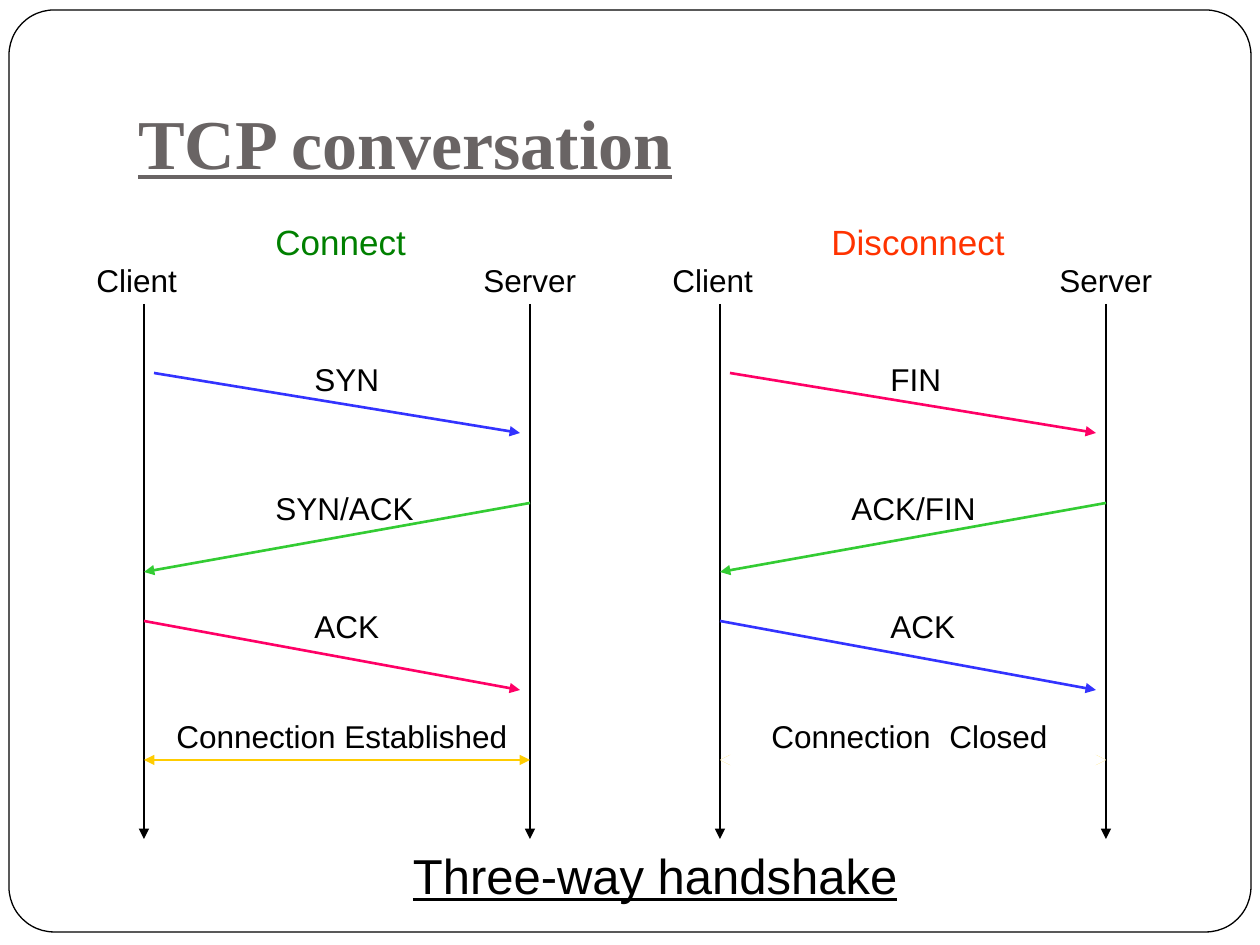
from lxml import etree
from pptx import Presentation
from pptx.dml.color import RGBColor
from pptx.enum.shapes import MSO_CONNECTOR, MSO_SHAPE
from pptx.enum.text import MSO_ANCHOR, MSO_AUTO_SIZE, PP_ALIGN
from pptx.oxml.ns import qn
from pptx.util import Pt

EMU_PER_PX = 914400 / 126


def px(length):
    return round(length * EMU_PER_PX)


def color(hex_string):
    return RGBColor.from_string(hex_string)


presentation = Presentation()
presentation.slide_width = px(1260)
presentation.slide_height = px(945)
slide = presentation.slides.add_slide(presentation.slide_layouts[6])

# Rounded frame
frame = slide.shapes.add_shape(
    MSO_SHAPE.ROUNDED_RECTANGLE, px(9), px(10), px(1242), px(922))
frame.adjustments[0] = 0.049
frame.shadow.inherit = False
frame.fill.solid()
frame.fill.fore_color.rgb = color("FFFFFF")
frame.line.color.rgb = color("000000")
frame.line.width = Pt(0.75)

# The two conversations, side by side
PANEL_STEP = 576
CLIENT, SERVER = 144, 530
BLUE, GREEN, PINK = "3333FF", "33CC33", "FF0066"
YELLOW, WHITE, BLACK = "FFCC00", "FFFFFF", "000000"
panels = [
    {"messages": ["SYN", "SYN/ACK", "ACK"], "colors": [BLUE, GREEN, PINK],
     "state_lines": [(YELLOW, 1.5)]},
    {"messages": ["FIN", "ACK/FIN", "ACK"], "colors": [PINK, GREEN, BLUE],
     "state_lines": [(YELLOW, 1.5), (WHITE, 6)]},
]
message_routes = [
    (154, 373, 520, 433),
    (SERVER, 503, CLIENT, 572),
    (CLIENT, 621, 520, 690),
]
message_boxes = [(302, 354, 118), (263, 483, 169), (302, 601, 118)]

# Text boxes: text, left, top, width, height, size, color
labels = [
    ("Connect", 263, 214, 159, 55, 20, "008000"),
    ("Disconnect", 819, 214, 208, 54, 20, "FF3300"),
    ("Connection Established", 164, 711, 358, 50, 18, BLACK),
    ("Connection", 759, 711, 208, 50, 18, BLACK),
    ("Closed", 937, 711, 129, 50, 18, BLACK),
    ("Three-way handshake", 243, 839, 824, 72, 28, BLACK),
    ("TCP conversation", 126, 38, 1071, 158, 40, "696464"),
]

# Lines: start x, start y, end x, end y, color, width, arrowheads
lines = []
for index, panel in enumerate(panels):
    shift = index * PANEL_STEP
    for x in (CLIENT, SERVER):
        lines.append((x + shift, 304, x + shift, 839, BLACK, 1.5, ["tailEnd"]))
    for (x1, y1, x2, y2), line_color in zip(message_routes, panel["colors"]):
        lines.append((x1 + shift, y1, x2 + shift, y2, line_color, 1.5, ["tailEnd"]))
    for line_color, width in panel["state_lines"]:
        lines.append((CLIENT + shift, 760, SERVER + shift, 760,
                      line_color, width, ["headEnd", "tailEnd"]))
    labels.append(("Client", 84 + shift, 255, 110, 50, 18, BLACK))
    labels.append(("Server", 471 + shift, 255, 129, 50, 18, BLACK))
    for text, (left, top, width) in zip(panel["messages"], message_boxes):
        labels.append((text, left + shift, top, width, 50, 18, BLACK))

for x1, y1, x2, y2, line_color, width, arrowheads in lines:
    connector = slide.shapes.add_connector(
        MSO_CONNECTOR.STRAIGHT, px(x1), px(y1), px(x2), px(y2))
    connector.line.color.rgb = color(line_color)
    connector.line.width = Pt(width)
    for end in arrowheads:
        etree.SubElement(connector.line._get_or_add_ln(), qn(f"a:{end}"), type="triangle")
    etree.SubElement(connector._element.spPr, qn("a:effectLst"))

for text, left, top, width, height, size, text_color in labels:
    text_box = slide.shapes.add_textbox(px(left), px(top), px(width), px(height))
    text_frame = text_box.text_frame
    text_frame.word_wrap = True
    text_frame.auto_size = MSO_AUTO_SIZE.SHAPE_TO_FIT_TEXT
    text_frame.text = text
    paragraph = text_frame.paragraphs[0]
    font = paragraph.runs[0].font
    font.name = "Arial"
    font.size = Pt(size)
    font.color.rgb = color(text_color)
    # Title and closing line
    if text == "TCP conversation":
        text_frame.auto_size = MSO_AUTO_SIZE.NONE
        text_frame.vertical_anchor = MSO_ANCHOR.BOTTOM
        text_frame.margin_bottom = px(13)
        font.name = "Times New Roman"
        font.bold = True
        font.underline = True
    elif text == "Three-way handshake":
        paragraph.alignment = PP_ALIGN.CENTER
        font.underline = True

presentation.save("out.pptx")
